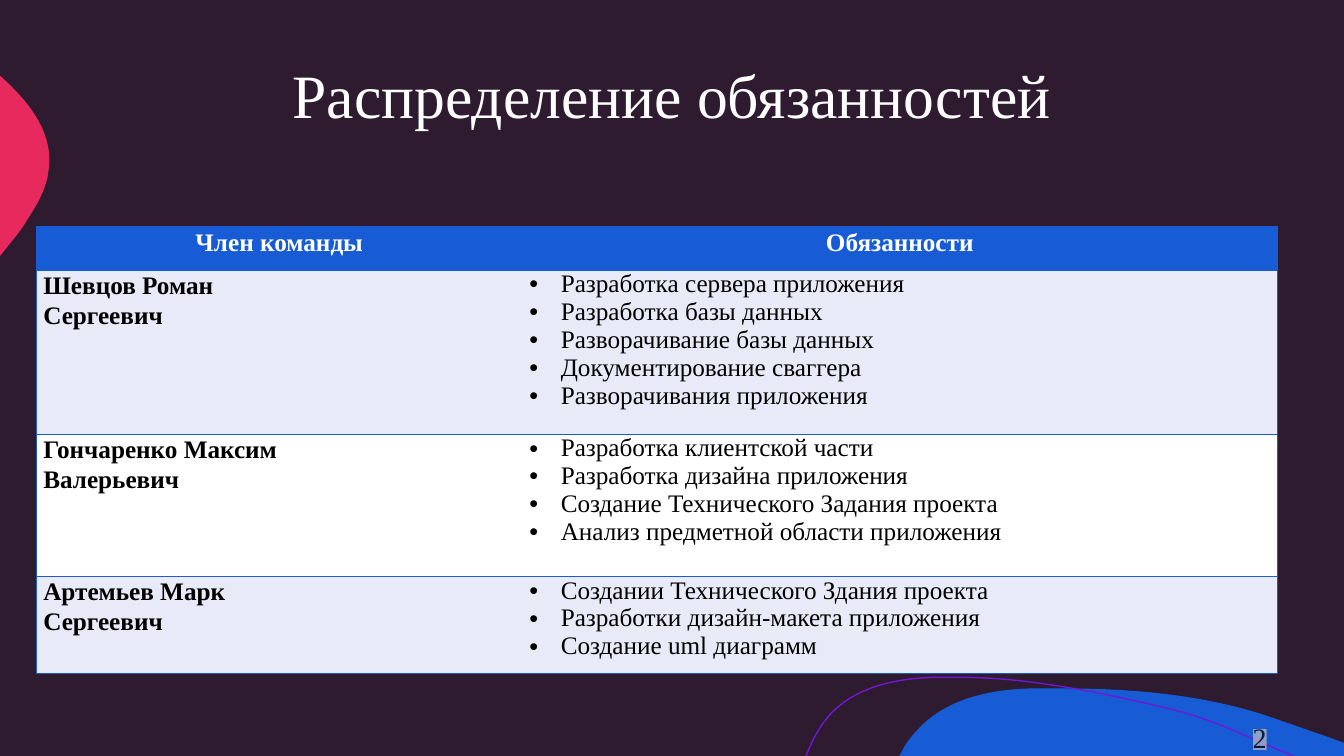
import pptx
import pptx.dml.color
import pptx.enum.text
import pptx.oxml
import pptx.oxml.ns
import pptx.util
from pptx.util import Inches, Pt

COLORS = {
    "background": "2E1B30", "blue": "175CD5", "pink": "E7295E", "violet": "7117D5",
    "band": "E8EAF7", "white": "FFFFFF", "black": "000000", "highlight": "C0C0C0",
}
ALIGN = pptx.enum.text.PP_ALIGN
MIDDLE = pptx.enum.text.MSO_ANCHOR.MIDDLE
NAMESPACE = pptx.oxml.ns.nsdecls("a")

# Each outline: a start point, then line ends (2 numbers) or Bezier curves (6 numbers).
BLUE_WAVE = [
    (10.54, 6.83), (11.28, 6.83, 12.04, 6.9, 12.73, 7.16),
    (12.86, 7.2, 12.98, 7.25, 13.11, 7.29), (13.33, 7.37), (13.33, 7.5),
    (8.92, 7.5), (8.98, 7.39), (9.02, 7.33, 9.06, 7.28, 9.11, 7.23),
    (9.39, 6.93, 9.82, 6.84, 10.23, 6.83), (10.33, 6.83, 10.43, 6.83, 10.54, 6.83),
]
PINK_BLOB = [
    (0, 0.75), (0.01, 0.76), (0.3, 1.02, 0.54, 1.33, 0.48, 1.7),
    (0.46, 1.87, 0.37, 2.03, 0.27, 2.18), (0.24, 2.24, 0.17, 2.33, 0.08, 2.44),
    (0, 2.54),
]
VIOLET_ARC = [
    (7.99, 7.5), (8, 7.49), (8.06, 7.33, 8.14, 7.19, 8.24, 7.08),
    (8.5, 6.81, 8.89, 6.73, 9.26, 6.72), (9.55, 6.72),
    (10.22, 6.72, 11, 6.89, 11.55, 7.02), (12.09, 7.15, 12.26, 7.27, 12.83, 7.5),
]

HEADINGS = ["Член команды", "Обязанности"]
TEAM = [
    ("Шевцов Роман\vСергеевич", [
        "Разработка сервера приложения", "Разработка базы данных",
        "Разворачивание базы данных", "Документирование сваггера",
        "Разворачивания приложения"]),
    ("Гончаренко Максим \vВалерьевич", [
        "Разработка клиентской части", "Разработка дизайна приложения",
        "Создание Технического Задания проекта",
        "Анализ предметной области приложения"]),
    ("Артемьев Марк \vСергеевич", [
        "Создании Технического Здания проекта",
        "Разработки дизайн-макета приложения", "Создание uml диаграмм"]),
]
COLUMN_WIDTHS = [4.82, 7.49]
ROW_HEIGHTS = [0.43, 1.63, 1.41, 0.96]


def rgb(name):
    return pptx.dml.color.RGBColor.from_string(COLORS[name])


def set_all(target, values):
    for name, value in values.items():
        setattr(target, name, value)


def write(para, text, size, color, bold=False, **paragraph_format):
    para.text = text
    set_all(para, paragraph_format)
    for span in para.runs:
        set_all(span.font, {"name": "Times New Roman", "size": Pt(size), "bold": bold})
        span.font.color.rgb = rgb(color)


def bend(shape, outline):
    """Turn the segments that have control points into Bezier curves."""
    segments = list(shape._element.iter(pptx.oxml.ns.qn("a:lnTo")))
    for segment, step in zip(segments, outline[1:]):
        if len(step) == 6:
            points = "".join(
                f'<a:pt x="{Inches(x) - shape.left}" y="{Inches(y) - shape.top}"/>'
                for x, y in zip(step[::2], step[1::2]))
            segment.getparent().replace(segment, pptx.oxml.parse_xml(
                f"<a:cubicBezTo {NAMESPACE}>{points}</a:cubicBezTo>"))


def add_outline(page, outline, color, filled=True):
    ends = [(Inches(step[-2]), Inches(step[-1])) for step in outline]
    builder = page.shapes.build_freeform(*ends[0])
    builder.add_line_segments(ends[1:], close=filled)
    shape = builder.convert_to_shape()
    bend(shape, outline)
    shape.shadow.inherit = False
    if filled:
        shape.fill.solid()
        shape.fill.fore_color.rgb = rgb(color)
        shape.line.fill.background()
    else:
        shape.fill.background()
        shape.line.color.rgb = rgb(color)
        shape.line.width = Pt(1)


def add_text(page, box, text, size, color, **paragraph_format):
    frame = page.shapes.add_textbox(*map(Inches, box)).text_frame
    set_all(frame, {"word_wrap": True, "vertical_anchor": MIDDLE})
    write(frame.paragraphs[0], text, size, color, **paragraph_format)
    return frame.paragraphs[0]


def add_page_number(page, box):
    para = add_text(page, box, "2", 20, "black", alignment=ALIGN.RIGHT)
    fill = para.runs[0].font.fill._xPr.find(pptx.oxml.ns.qn("a:solidFill"))
    fill[0].append(pptx.oxml.parse_xml(f'<a:alpha {NAMESPACE} val="70000"/>'))
    fill.addnext(pptx.oxml.parse_xml(
        f'<a:highlight {NAMESPACE}><a:srgbClr val="{COLORS["highlight"]}"/></a:highlight>'))


def style_cell(cell, fill, sides):
    """Fill a cell and draw blue borders on the given sides only."""
    set_all(cell, {"margin_left": Inches(0.07), "margin_right": Inches(0.07),
                   "margin_top": 0, "margin_bottom": 0})
    cell.fill.solid()
    cell.fill.fore_color.rgb = rgb(fill)
    blue = f'<a:solidFill><a:srgbClr val="{COLORS["blue"]}"/></a:solidFill>'
    properties = cell._tc.get_or_add_tcPr()
    for index, side in enumerate("LRTB"):
        paint = blue if side in sides else "<a:noFill/>"
        properties.insert(index, pptx.oxml.parse_xml(
            f'<a:ln{side} {NAMESPACE} w="12700">{paint}</a:ln{side}>'))


def write_duties(frame, duties):
    for index, duty in enumerate(duties):
        para = frame.add_paragraph() if index else frame.paragraphs[0]
        write(para, duty, 18, "black")
        properties = para._p.get_or_add_pPr()
        properties.set("marL", str(Pt(22.5)))
        properties.set("indent", str(-Pt(22.5)))
        for bullet in ('<a:buFont {} typeface="Arial"/>', '<a:buChar {} char="•"/>'):
            properties.append(pptx.oxml.parse_xml(bullet.format(NAMESPACE)))


def add_duty_table(page, box):
    table = page.shapes.add_table(
        len(ROW_HEIGHTS), len(COLUMN_WIDTHS), *map(Inches, box)).table
    set_all(table, {"first_row": False, "horz_banding": False})
    for column, width in zip(table.columns, COLUMN_WIDTHS):
        column.width = Inches(width)
    for row, height in zip(table.rows, ROW_HEIGHTS):
        row.height = Inches(height)
    fills = ["blue", "band", "white", "band"]
    for row, fill in zip(table.rows, fills):
        for cell, sides in zip(row.cells, ("LTB", "RTB")):
            style_cell(cell, fill, sides)
    for column, heading in enumerate(HEADINGS):
        write(table.cell(0, column).text_frame.paragraphs[0], heading, 18, "white",
              bold=True, alignment=ALIGN.CENTER, line_spacing=1.07)
    for row, (member, duties) in enumerate(TEAM, start=1):
        write(table.cell(row, 0).text_frame.paragraphs[0], member, 18, "black",
              bold=True, line_spacing=1.07)
        write_duties(table.cell(row, 1).text_frame, duties)


def build_duties_slide(deck):
    page = deck.slides.add_slide(deck.slide_layouts[6])
    page.background.fill.solid()
    page.background.fill.fore_color.rgb = rgb("background")
    add_outline(page, BLUE_WAVE, "blue")
    add_outline(page, PINK_BLOB, "pink")
    add_outline(page, VIOLET_ARC, "violet", filled=False)
    add_duty_table(page, (0.36, 2.25, sum(COLUMN_WIDTHS), sum(ROW_HEIGHTS)))
    add_text(page, (0.83, 0.14, 11.67, 1.67), "Распределение обязанностей", 44, "white",
             alignment=ALIGN.CENTER, line_spacing=0.9)
    add_page_number(page, (10.99, 7.11, 1.67, 0.4))


def main():
    deck = pptx.Presentation()
    set_all(deck, {"slide_width": Inches(13.33), "slide_height": Inches(7.5)})
    build_duties_slide(deck)
    deck.save("out.pptx")


if __name__ == "__main__":
    main()
